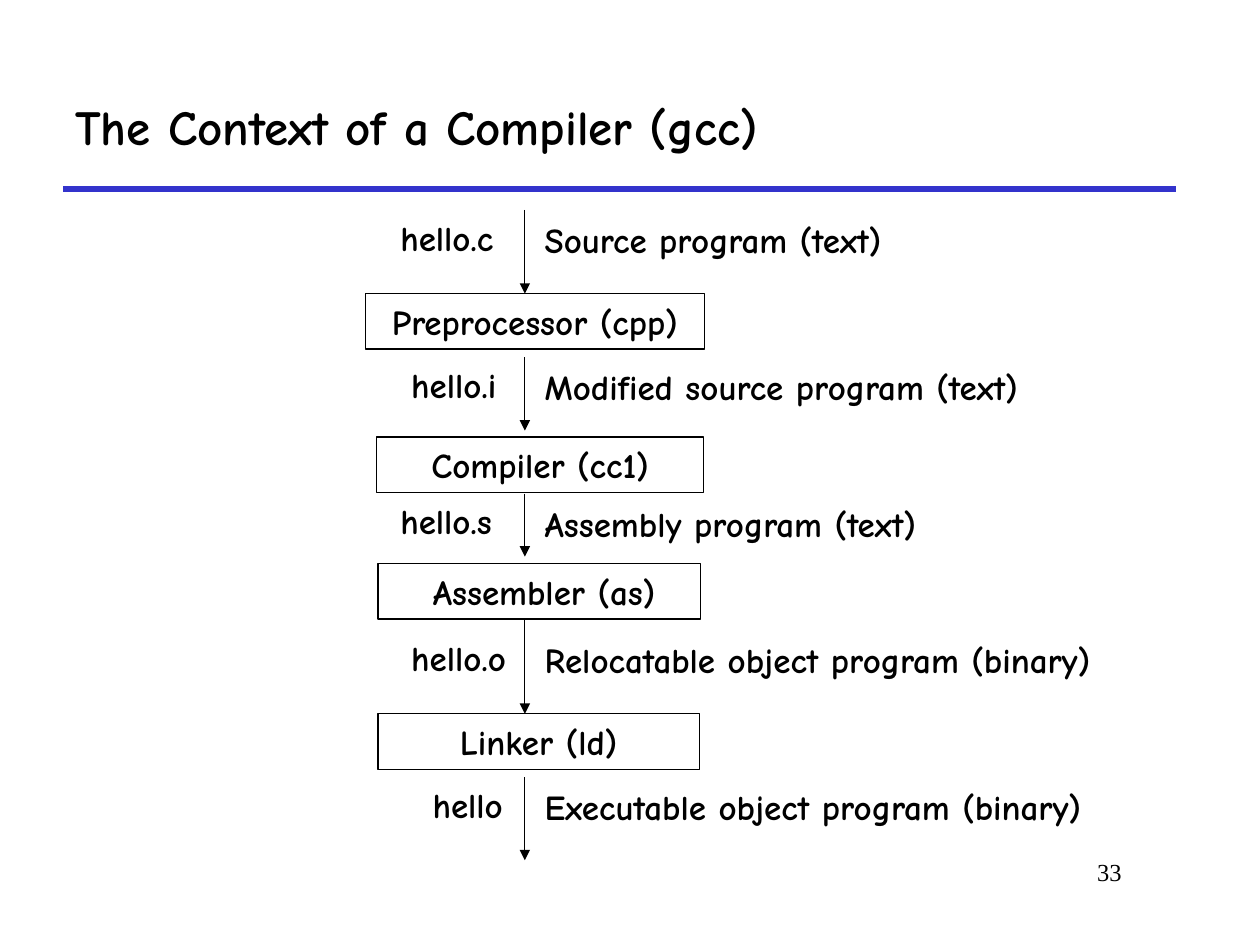
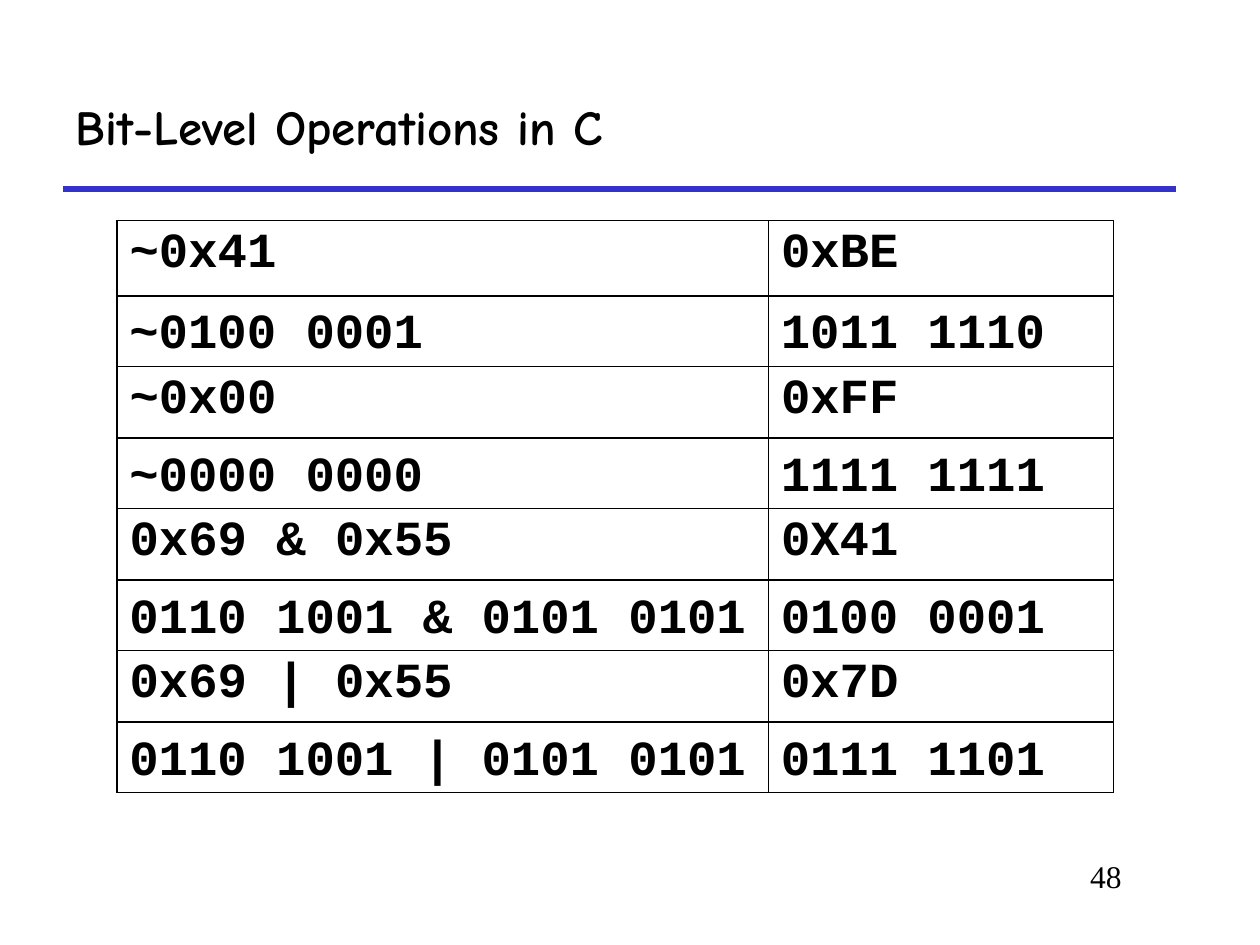
import pptx
import pptx.dml.color
import pptx.enum.shapes
import pptx.enum.text
import pptx.oxml
import pptx.oxml.ns
import pptx.util
from dataclasses import dataclass

Cm = pptx.util.Cm
Pt = pptx.util.Pt
Anchor = pptx.enum.text.MSO_ANCHOR
Align = pptx.enum.text.PP_ALIGN


@dataclass(frozen=True)
class Theme:
    ink: str = "000000"
    rule: str = "3333CC"
    body_font: str = "Comic Neue"
    code_font: str = "Courier New"
    number_font: str = "Times New Roman"
    title_size: int = 28
    label_size: int = 20
    code_size: int = 28


theme = Theme()
ink = pptx.dml.color.RGBColor.from_string(theme.ink)


def write(frame, text, font, size, bold=True, align=Align.LEFT, anchor=Anchor.TOP):
    """Put one styled line of text in a text frame."""
    frame.word_wrap = True
    frame.vertical_anchor = anchor
    para = frame.paragraphs[0]
    para.alignment = align
    span = para.add_run()
    span.text = text
    span.font.name = font
    span.font.size = Pt(size)
    span.font.bold = bold
    span.font.color.rgb = ink


def draw_line(page, start, end, color, width, arrow=False):
    """Draw a straight line between two points in centimetres."""
    line = page.shapes.add_connector(
        pptx.enum.shapes.MSO_CONNECTOR.STRAIGHT, *map(Cm, start + end))
    line.line.color.rgb = pptx.dml.color.RGBColor.from_string(color)
    line.line.width = Pt(width)
    if arrow:
        outline = line.line._get_or_add_ln()
        outline.append(pptx.oxml.parse_xml(
            f'<a:tailEnd {pptx.oxml.ns.nsdecls("a")} type="triangle"/>'))
    line._element.spPr.append(pptx.oxml.parse_xml(
        f'<a:effectLst {pptx.oxml.ns.nsdecls("a")}/>'))


deck = pptx.Presentation()
deck.slide_width = Cm(25.4)
deck.slide_height = Cm(19.05)

# Shared frame: rule, page number and title
pages = []
for title, number, number_size in [
    ("The Context of a Compiler (gcc)", "33", 14),
    ("Bit-Level Operations in C", "48", 18),
]:
    page = deck.slides.add_slide(deck.slide_layouts[6])
    draw_line(page, (1.27, 3.81), (23.7, 3.81), theme.rule, 3)
    box = page.shapes.add_textbox(Cm(19.25), Cm(17.15), Cm(3.61), Cm(1.27))
    write(box.text_frame, number, theme.number_font, number_size,
          bold=False, align=Align.RIGHT)
    box = page.shapes.add_textbox(Cm(1.27), Cm(1.27), Cm(22.43), Cm(2.54))
    write(box.text_frame, title, theme.body_font, theme.title_size,
          anchor=Anchor.MIDDLE)
    pages.append(page)
compiler_page, bits_page = pages

# Compiler tools: name, left, top, width, left inset
for tool, left, top, width, inset in [
    ("Preprocessor (cpp)", 7.37, 5.92, 6.83, 0.25),
    ("Compiler (cc1)", 7.59, 8.81, 6.6, 0.25),
    ("Assembler (as)", 7.62, 11.36, 6.5, 0.45),
    ("Linker (ld)", 7.62, 14.39, 6.48, 0.25),
]:
    box = compiler_page.shapes.add_shape(
        pptx.enum.shapes.MSO_SHAPE.RECTANGLE, Cm(left), Cm(top), Cm(width), Cm(1.12))
    box.shadow.inherit = False
    box.fill.background()
    box.line.color.rgb = ink
    box.line.width = Pt(0.75)
    box.text_frame.margin_left = Cm(inset)
    write(box.text_frame, tool, theme.body_font, theme.label_size,
          align=Align.CENTER, anchor=Anchor.MIDDLE)

# Files passed between tools: arrow ends, file label left and top, wording
arrow_x = 10.58
for start, end, file_left, label_top, file_name, meaning in [
    (4.23, 5.92, 7.82, 4.23, "hello.c", "Source program (text)"),
    (7.2, 8.68, 8.04, 7.2, "hello.i", "Modified source program (text)"),
    (9.95, 11.22, 7.82, 9.95, "hello.s", "Assembly program (text)"),
    (12.49, 14.39, 8.04, 12.7, "hello.o", "Relocatable object program (binary)"),
    (15.67, 17.34, 8.47, 15.67, "hello", "Executable object program (binary)"),
]:
    draw_line(compiler_page, (arrow_x, start), (arrow_x, end), theme.ink, 0.75, arrow=True)
    for text, left, top, width in [
        (file_name, file_left, label_top, 2.74),
        (meaning, arrow_x + 0.15, label_top + 0.05, 12.85),
    ]:
        box = compiler_page.shapes.add_textbox(Cm(left), Cm(top), Cm(width), Cm(1.09))
        write(box.text_frame, text, theme.body_font, theme.label_size)

# Bit operations: hexadecimal rows, each followed by a row for its binary form
operations = [
    (("~0x41", "0xBE"), ("~0100 0001", "1011 1110")),
    (("~0x00", "0xFF"), ("~0000 0000", "1111 1111")),
    (("0x69 & 0x55", "0X41"), ("0110 1001 & 0101 0101", "0100 0001")),
    (("0x69 | 0x55", "0x7D"), ("0110 1001 | 0101 0101", "0111 1101")),
]
table_left, table_top = 2.36, 4.45
column_widths = (13.13, 6.96)
row_heights = [1.52, 1.42] + [1.43, 1.42] * 3
table = bits_page.shapes.add_table(
    len(row_heights), len(column_widths), Cm(table_left), Cm(table_top),
    Cm(sum(column_widths)), Cm(sum(row_heights))).table
table.first_row = False
table.horz_banding = False
for column, width in zip(table.columns, column_widths):
    column.width = Cm(width)
for row, height in zip(table.rows, row_heights):
    row.height = Cm(height)

# Cell borders
for cell in table.iter_cells():
    cell.fill.background()
    properties = cell._tc.get_or_add_tcPr()
    for position, side in enumerate("LRTB"):
        properties.insert(position, pptx.oxml.parse_xml(
            f'<a:ln{side} {pptx.oxml.ns.nsdecls("a")} w="{Pt(1)}"><a:solidFill>'
            f'<a:srgbClr val="{theme.ink}"/></a:solidFill></a:ln{side}>'))

# Hexadecimal text in the cells, binary text laid over the rows below
for index, (hexadecimal, binary) in enumerate(operations):
    for column, text in enumerate(hexadecimal):
        write(table.cell(2 * index, column).text_frame, text,
              theme.code_font, theme.code_size)
    for column, text in enumerate(binary):
        box = bits_page.shapes.add_textbox(
            Cm(table_left + column * column_widths[0]), Cm(5.92 + 2.87 * index),
            Cm((13.54, 6.78)[column]), Cm(1.45))
        write(box.text_frame, text, theme.code_font, theme.code_size)

deck.save("out.pptx")
